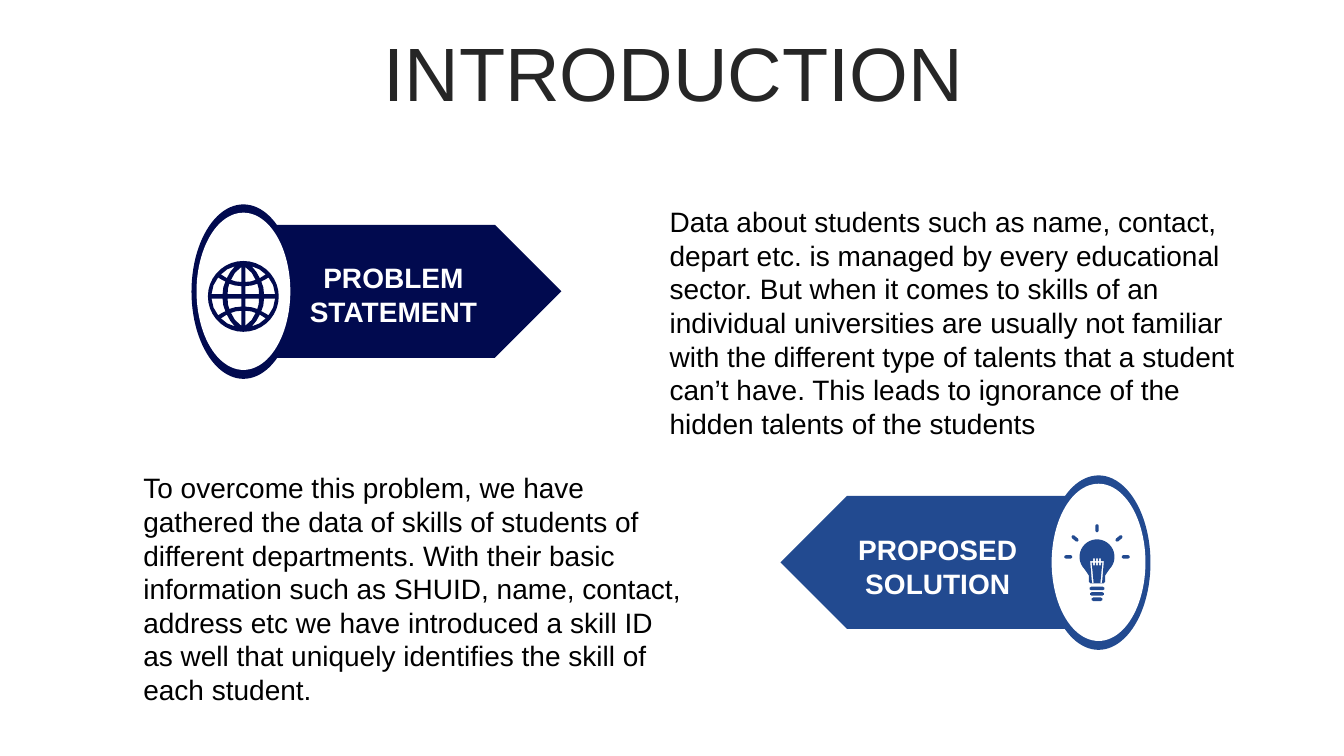
from math import atan2, cos, radians, sin

from pptx import Presentation
from pptx.dml.color import RGBColor
from pptx.enum.shapes import MSO_SHAPE
from pptx.enum.text import MSO_ANCHOR, PP_ALIGN
from pptx.oxml.ns import qn
from pptx.util import Pt

NAVY = RGBColor(0x01, 0x0A, 0x4F)
BLUE = RGBColor(0x22, 0x4A, 0x90)
WHITE = RGBColor(0xFF, 0xFF, 0xFF)
BLACK = RGBColor(0, 0, 0)
CHARCOAL = RGBColor(0x26, 0x26, 0x26)

PROBLEM = (
    "Data about students such as name, contact, depart etc. is managed by every "
    "educational sector. But when it comes to skills of an individual universities "
    "are usually not familiar with the different type of talents that a student "
    "can’t have. This leads to ignorance of the hidden talents of the students"
)
SOLUTION = (
    "To overcome this problem, we have gathered the data of skills of students of "
    "different departments. With their basic information such as SHUID, name, "
    "contact, address etc we have introduced a skill ID as well that uniquely "
    "identifies the skill of each student."
)

# One quarter of the globe's gaps, measured from its centre
GLOBE_GAPS = (
    ((1.4, 1.6), (11.2, 1.6), (11, 5.5), (10, 9), (6, 7.8), (1.4, 7.3)),
    ((14.8, 1.6), (22.7, 1.6), (21.3, 8), (18, 13.5), (15.5, 12), (12.8, 10.6),
     (14.3, 6.5)),
    ((1.4, 10.3), (5.5, 10.7), (8.8, 11.8), (6, 16.8), (1.4, 21)),
    ((11.8, 13), (16, 15.7), (11.5, 19.3), (6, 21.5), (9.3, 17.5)),
)
# Right half of the filament, measured from the centre of the glass
FILAMENT = (
    (0.6, 6.1), (0.6, 4.2), (1.6, 4.2), (1.6, 6.1), (2.8, 6.1), (2.8, 4.2),
    (3.8, 4.2), (2.4, 18.6), (3.6, 18.6), (4.9, 3), (2.8, 3), (2.8, 1.1),
    (1.6, 1.1), (1.6, 3), (0.6, 3), (0.6, 1.1),
)


def arc(radius, start, stop, step, cx=0, cy=0):
    return [(cx + radius * cos(radians(a)), cy + radius * sin(radians(a)))
            for a in range(start, stop, step)]


def capsule(x1, y1, x2, y2, width):
    """Outline of a thick line with rounded ends."""
    turn = round(atan2(y2 - y1, x2 - x1) * 57.3)
    return (arc(width / 2, turn - 90, turn + 91, 60, x2, y2)
            + arc(width / 2, turn + 90, turn + 271, 60, x1, y1))


class Deck:
    font = "Arial"

    def __init__(self, slide):
        self.shapes = slide.shapes

    def paint(self, s, color):
        s.shadow.inherit = False
        s.fill.solid()
        s.fill.fore_color.rgb = color
        s.line.fill.background()
        return s

    def centred(self, kind, cx, cy, w, h, color):
        """Add a preset shape by its centre."""
        box = [Pt(v) for v in (cx - w / 2, cy - h / 2, w, h)]
        return self.paint(self.shapes.add_shape(kind, *box), color)

    def icon(self, contours, cx, cy, color):
        """Fill several contours as one shape; a contour inside another is a hole."""
        builder = None
        for contour in contours:
            start, *rest = [(Pt(cx + x), Pt(cy + y)) for x, y in contour]
            if builder is None:
                builder = self.shapes.build_freeform(*start)
            else:
                builder.move_to(*start)
            builder.add_line_segments(rest, close=True)
        self.paint(builder.convert_to_shape(), color)

    def text(self, words, x, y, w, h, color, size=20, bold=False, para=None,
             anchor=MSO_ANCHOR.TOP):
        tf = self.shapes.add_textbox(Pt(x), Pt(y), Pt(w), Pt(h)).text_frame
        tf.word_wrap = True
        tf.vertical_anchor = anchor
        p = tf.paragraphs[0]
        for name, value in (para or {}).items():
            setattr(p, name, value)
        r = p.add_run()
        r.text = words
        style = {"name": self.font, "size": Pt(size), "bold": bold}
        for name, value in style.items():
            setattr(r.font, name, value)
        r.font.color.rgb = color

    def banner(self, cx, cy, color, side):
        """Arrow leaving a ringed disc to the right (side 1) or left (side -1)."""
        s = self.centred(MSO_SHAPE.PENTAGON, cx + side * 113.4, cy - 0.2, 227.5, 95,
                         color)
        if side < 0:
            s._element.spPr.find(qn("a:xfrm")).set("flipH", "1")
        self.centred(MSO_SHAPE.OVAL, cx, cy, 74.2, 124.6, color)
        self.centred(MSO_SHAPE.OVAL, cx, cy - 0.2, 67, 112.3, WHITE)

    def label(self, words, x, y):
        self.text(words, x, y, 147.6, 55.4, WHITE, bold=True,
                  para={"alignment": PP_ALIGN.CENTER})

    def globe(self, cx, cy, color):
        gaps = [[(sx * x, sy * y) for x, y in gap]
                for gap in GLOBE_GAPS for sx in (-1, 1) for sy in (-1, 1)]
        self.icon([arc(25.3, 0, 360, 10)] + gaps, cx, cy, color)

    def bulb(self, cx, cy, color):
        neck = [(5.8, 13.3), (5.8, 17.8), (4.5, 19), (-4.5, 19), (-5.8, 17.8),
                (-5.8, 13.3)]
        glass = arc(12.5, 135, 406, 10) + neck
        filament = list(FILAMENT) + [(-x, y) for x, y in reversed(FILAMENT)]
        bars = [capsule(-w / 2, y, w / 2, y, 2.5)
                for y, w in ((22.6, 8.3), (26.5, 7.5), (30.3, 5.4))]
        rays = []
        for angle in (0, 40, 90, 140, 180):
            dx, dy = cos(radians(angle)), -sin(radians(angle))
            rays.append(capsule(18.8 * dx, 18.8 * dy, 22.2 * dx, 22.2 * dy, 2.5))
        self.icon([glass, filament] + bars + rays, cx, cy, color)


def main():
    prs = Presentation()
    prs.slide_width, prs.slide_height = Pt(960), Pt(540)
    deck = Deck(prs.slides.add_slide(prs.slide_layouts[6]))

    deck.text("INTRODUCTION", 25.2, 26.6, 911.5, 56.9, CHARCOAL, size=54,
              anchor=MSO_ANCHOR.MIDDLE,
              para={"alignment": PP_ALIGN.CENTER, "line_spacing": 0.9,
                    "space_before": Pt(10)})
    deck.banner(173.9, 208.3, NAVY, 1)
    deck.banner(784.7, 401.9, BLUE, -1)
    deck.globe(173.8, 211.7, NAVY)
    deck.label("PROBLEM STATEMENT", 207.2, 182.9)
    deck.label("PROPOSED SOLUTION", 596, 377.1)
    deck.text(PROBLEM, 471.2, 142.6, 443.5, 177.1, BLACK)
    deck.text(SOLUTION, 95.3, 332.8, 400.3, 177.1, BLACK)
    deck.bulb(783.6, 397.8, BLUE)
    prs.save("out.pptx")


if __name__ == "__main__":
    main()
